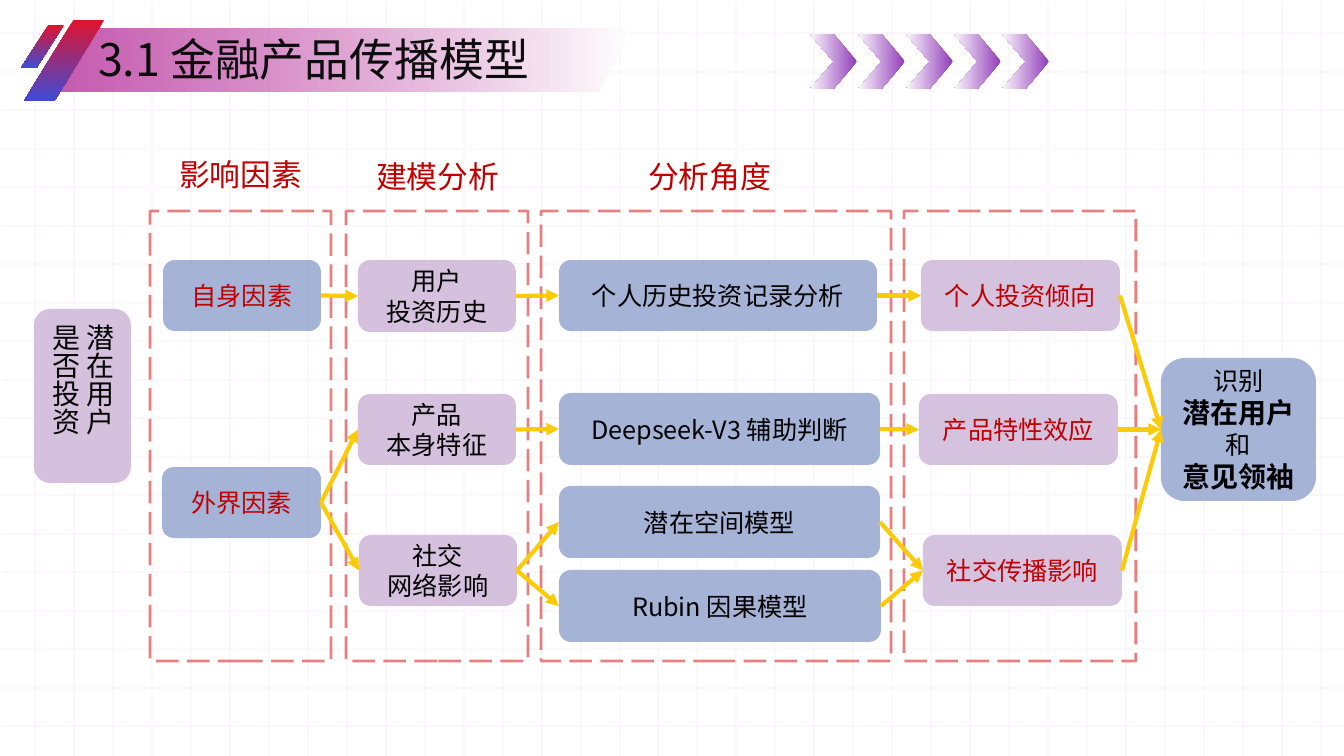
from lxml.etree import SubElement
from pptx import Presentation
from pptx.dml.color import RGBColor
from pptx.enum.dml import MSO_LINE
from pptx.enum.shapes import MSO_CONNECTOR, MSO_SHAPE
from pptx.enum.text import MSO_ANCHOR, MSO_AUTO_SIZE, PP_ALIGN
from pptx.oxml.ns import qn
from pptx.util import Pt

PX = 914400 / 100.8
THEME = {
    "font": "Noto Sans CJK SC",
    "title": 32, "heading": 22, "large": 20, "body": 18,
    "ink": "000000", "title_ink": "0D0D0D", "red": "C00000",
    "grid": "E9D6F2", "frame": "D40000", "arrow": "FCCB08",
    "blue_soft": "8EA0CC", "blue": "A5B3D6",
    "lilac_soft": "CCB4D7", "lilac": "D5C2DE",
    "banner": [(0, "FFFFFF"), (1, "BB39A0")],
    "slash": [(0, "E0132D"), (1, "3F4BD6")],
    "chevron": [(0, "923EBA"), (0.96, "F7F0FA")],
}
OPACITY = {"grid": 44, "frame": 49, "blue_soft": 80, "lilac_soft": 82, "banner": 84}


def rgb(name):
    return RGBColor.from_string(THEME[name])


def write(sp, text, size="body", color="ink", align=PP_ALIGN.CENTER,
          anchor=MSO_ANCHOR.MIDDLE, wrap=True, strong=()):
    tf = sp.text_frame
    tf.auto_size = MSO_AUTO_SIZE.NONE
    tf.word_wrap = wrap
    tf.vertical_anchor = anchor
    for i, line in enumerate(text.split("\n")):
        p = tf.paragraphs[0] if i == 0 else tf.add_paragraph()
        p.alignment = align
        r = p.add_run()
        r.text = line
        r.font.size = Pt(THEME["large" if i in strong else size])
        r.font.bold = i in strong
        r.font.color.rgb = rgb(color)
        r.font.name = THEME["font"]
        SubElement(r.font._element, qn("a:ea"), typeface=THEME["font"])


prs = Presentation()
prs.slide_width, prs.slide_height = int(1344 * PX), int(756 * PX)
s = prs.slides.add_slide(prs.slide_layouts[5])
faded = []

rows = [(2, round(33.4 + 38.5 * i), 1344, round(33.4 + 38.5 * i)) for i in range(19)]
columns = [(round(35.3 + 38.95 * i), 2, round(35.3 + 38.95 * i), 756) for i in range(34)]
for ends in rows + columns:
    c = s.shapes.add_connector(MSO_CONNECTOR.STRAIGHT, *[int(v * PX) for v in ends])
    c.line.width = Pt(0.5)
    c.line.color.rgb = rgb("grid")
    SubElement(c._element.spPr, qn("a:effectLst"))
    faded.append((c, "grid"))

for x, w in [(904, 232), (541, 350), (346, 182), (150, 181)]:
    sp = s.shapes.add_shape(MSO_SHAPE.RECTANGLE, *[int(v * PX) for v in (x, 211, w, 450)])
    sp.shadow.inherit = False
    sp.fill.background()
    sp.line.width = Pt(2)
    sp.line.color.rgb = rgb("frame")
    sp.line.dash_style = MSO_LINE.LONG_DASH
    faded.append((sp, "frame"))

ornaments = [
    (MSO_SHAPE.PARALLELOGRAM, (46, 29, 586, 63), 0.53, "banner", 180),
    (MSO_SHAPE.PARALLELOGRAM, (21, 25, 43, 43), 0.64, "slash", 270),
    (MSO_SHAPE.PARALLELOGRAM, (24, 20, 80, 81), 0.62, "slash", 270),
]
ornaments += [(MSO_SHAPE.CHEVRON, (810 + 48 * i, 34, 47, 55), 0.5, "chevron", 180)
              for i in range(5)]
for kind, box, adjust, gradient, angle in ornaments:
    sp = s.shapes.add_shape(kind, *[int(v * PX) for v in box])
    sp.shadow.inherit = False
    sp.adjustments[0] = adjust
    sp.line.fill.background()
    sp.fill.gradient()
    sp.fill.gradient_angle = angle
    for stop, (position, color) in zip(sp.fill.gradient_stops, THEME[gradient]):
        stop.position = position
        stop.color.rgb = RGBColor.from_string(color)
    if gradient in OPACITY:
        faded.append((sp, gradient))

title = s.shapes.title
title.left, title.top, title.width, title.height = [int(v * PX) for v in (88, 27, 500, 70)]
write(title, "3.1 金融产品传播模型", size="title", color="title_ink",
      align=PP_ALIGN.LEFT, anchor=MSO_ANCHOR.TOP)
title._element.getparent().append(title._element)

for x, y, text in [(154, 136, "影响因素"), (351, 138, "建模分析"), (623, 138, "分析角度")]:
    sp = s.shapes.add_textbox(*[int(v * PX) for v in (x, y, 173, 76)])
    write(sp, text, size="heading", color="red", wrap=False)

nodes = {
    "investor": ((34, 309, 97, 174), "lilac_soft", "潜在用户\n是否投资", {"size": "large"}),
    "own": ((163, 260, 158, 71), "blue_soft", "自身因素", {"color": "red"}),
    "external": ((162, 467, 159, 71), "blue_soft", "外界因素", {"color": "red"}),
    "history": ((358, 260, 158, 72), "lilac_soft", "用户\n投资历史", {}),
    "product": ((358, 394, 158, 71), "lilac_soft", "产品\n本身特征", {}),
    "network": ((359, 535, 158, 71), "lilac_soft", "社交\n网络影响", {}),
    "records": ((559, 260, 318, 71), "blue", "个人历史投资记录分析", {}),
    "judgement": ((559, 393, 321, 72), "blue", "Deepseek-V3 辅助判断", {}),
    "latent": ((559, 486, 321, 72), "blue", "潜在空间模型", {}),
    "causal": ((559, 570, 322, 72), "blue", "Rubin 因果模型", {}),
    "tendency": ((921, 260, 199, 71), "lilac", "个人投资倾向", {"color": "red"}),
    "effect": ((919, 394, 199, 71), "lilac", "产品特性效应", {"color": "red"}),
    "spread": ((923, 535, 199, 71), "lilac", "社交传播影响", {"color": "red"}),
    "target": ((1161, 358, 155, 143), "blue", "识别\n潜在用户\n和\n意见领袖", {"strong": (1, 3)}),
}
boxes = {}
for name, (box, fill, text, fmt) in nodes.items():
    sp = s.shapes.add_shape(MSO_SHAPE.ROUNDED_RECTANGLE, *[int(v * PX) for v in box])
    sp.shadow.inherit = False
    sp.fill.solid()
    sp.fill.fore_color.rgb = rgb(fill)
    sp.line.fill.background()
    write(sp, text, **fmt)
    if fill in OPACITY:
        faded.append((sp, fill))
    boxes[name] = sp
boxes["investor"].text_frame._txBody.bodyPr.set("vert", "eaVert")

flows = [
    ("own", "history"), ("external", "product"), ("external", "network"),
    ("history", "records"), ("product", "judgement"),
    ("network", "latent"), ("network", "causal"),
    ("records", "tendency"), ("judgement", "effect"),
    ("latent", "spread"), ("causal", "spread"),
    ("tendency", "target"), ("effect", "target"), ("spread", "target"),
]
for start, end in flows:
    c = s.shapes.add_connector(MSO_CONNECTOR.STRAIGHT, 0, 0, 0, 0)
    c.begin_connect(boxes[start], 3)
    c.end_connect(boxes[end], 1)
    c.line.width = Pt(3)
    c.line.color.rgb = rgb("arrow")
    SubElement(c._element.spPr.find(qn("a:ln")), qn("a:tailEnd"), type="triangle")
    SubElement(c._element.spPr, qn("a:effectLst"))

for sp, name in faded:
    color = list(sp._element.spPr.iter(qn("a:srgbClr")))[-1]
    SubElement(color, qn("a:alpha"), val=str(OPACITY[name] * 1000))

prs.save("out.pptx")
